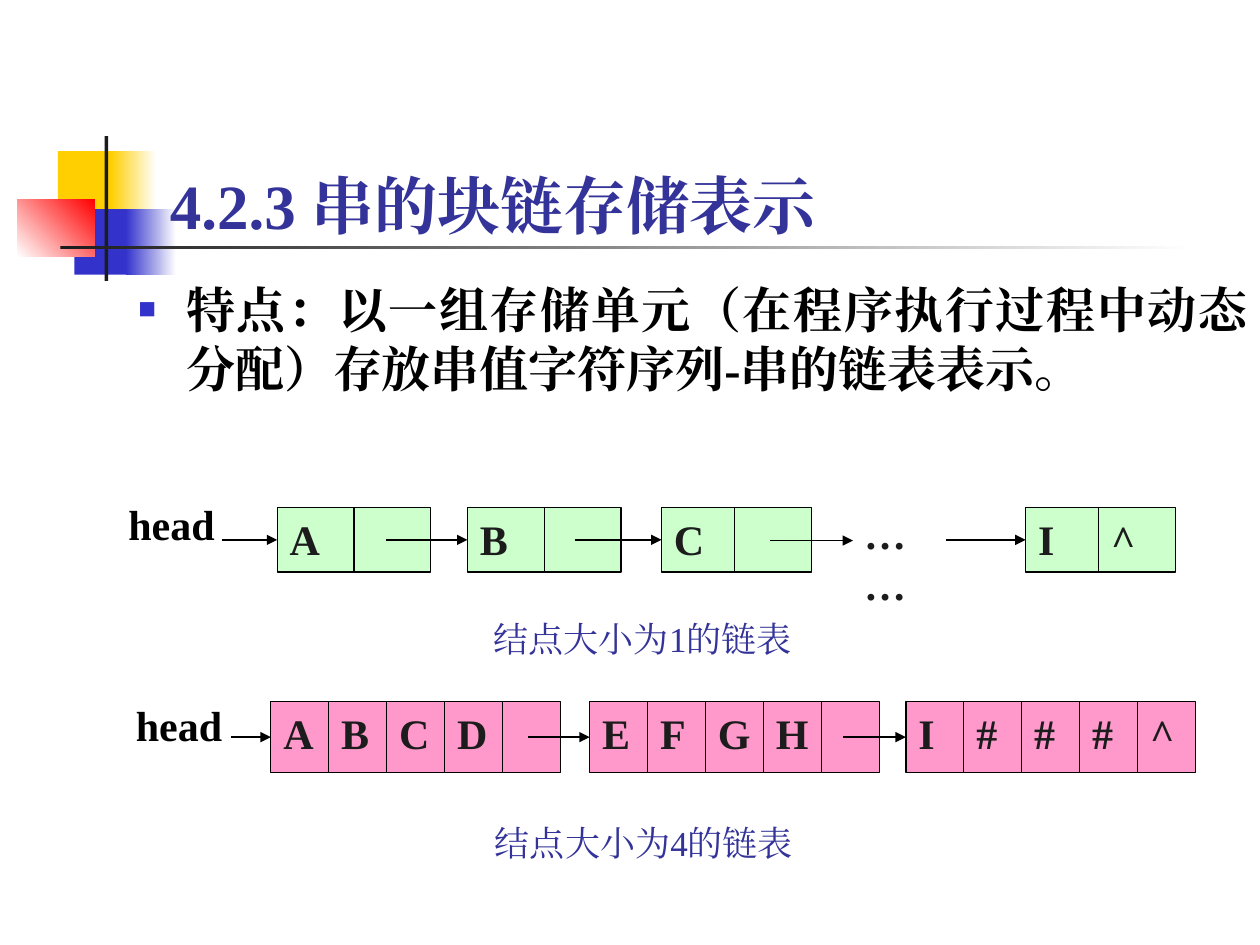
from dataclasses import dataclass

import pptx
import pptx.dml.color
import pptx.enum.shapes
import pptx.enum.text
import pptx.oxml
import pptx.oxml.ns
import pptx.util
from pptx.util import Inches

ALIGN = pptx.enum.text.PP_ALIGN
ANCHOR = pptx.enum.text.MSO_ANCHOR


@dataclass(frozen=True)
class Theme:
    font: str = "Times New Roman"
    yellow: str = "FFCF01"
    blue: str = "3333CC"
    red: str = "FF0000"
    white: str = "FFFFFF"
    dark: str = "1C1C1C"
    black: str = "000000"
    heading: str = "333399"
    single_cell: str = "CCFFCC"
    block_cell: str = "FF99CC"
    title_size: int = 36
    body_size: int = 28
    node_size: int = 24
    caption_size: int = 20
    line_width: float = 0.75


THEME = Theme()


def rgb(value):
    return pptx.dml.color.RGBColor.from_string(value)


def sub_element(parent, tag, **attributes):
    element = parent.makeelement(pptx.oxml.ns.qn(tag), attributes)
    parent.append(element)
    return element


def set_text(shape, text, size, color, bold=True, align=ALIGN.JUSTIFY, anchor=ANCHOR.TOP):
    frame = shape.text_frame
    frame.word_wrap = True
    frame.vertical_anchor = anchor
    frame.text = text
    paragraph = frame.paragraphs[0]
    paragraph.alignment = align
    for run in paragraph.runs:
        run.font.size = pptx.util.Pt(size)
        run.font.bold = bold
        run.font.name = THEME.font
        run.font.color.rgb = rgb(color)
        sub_element(run.font._element, "a:ea", typeface=THEME.font)
    return paragraph


def add_text(slide, box, text, size, color, **options):
    shape = slide.shapes.add_textbox(*map(Inches, box))
    return set_text(shape, text, size, color, **options)


def add_rectangle(slide, box, color, end_color=None, angle=0):
    shape = slide.shapes.add_shape(
        pptx.enum.shapes.MSO_SHAPE.RECTANGLE, *map(Inches, box))
    shape.shadow.inherit = False
    shape.line.fill.background()
    if end_color is None:
        shape.fill.solid()
        shape.fill.fore_color.rgb = rgb(color)
    else:
        shape.fill.gradient()
        shape.fill.gradient_angle = angle
        for stop, stop_color in zip(shape.fill.gradient_stops, (color, end_color)):
            stop.color.rgb = rgb(stop_color)
    return shape


def add_arrow(slide, start_x, end_x, y, target=None):
    arrow = slide.shapes.add_connector(
        pptx.enum.shapes.MSO_CONNECTOR.STRAIGHT,
        Inches(start_x), Inches(y), Inches(end_x), Inches(y))
    if target is not None:
        arrow.end_connect(target, 1)
    arrow.line.width = pptx.util.Pt(THEME.line_width)
    arrow.line.color.rgb = rgb(THEME.black)
    sub_element(arrow.line._get_or_add_ln(), "a:tailEnd", type="triangle")
    sub_element(arrow._element.spPr, "a:effectLst")


def add_ornament(slide, left, top):
    """Overlapping colour blocks with the cross lines of the heading."""
    parts = (
        (0.32, 0.12, 0.48, 0.52, THEME.yellow),
        (0.74, 0.12, 0.36, 0.52, THEME.yellow, THEME.white),
        (0.45, 0.58, 0.46, 0.52, THEME.blue),
        (0.86, 0.58, 0.40, 0.52, THEME.blue, THEME.white),
        (0, 0.5, 0.61, 0.46, THEME.white, THEME.red, 45),
        (0.69, 0, 0.03, 1.15, THEME.dark),
        (0.34, 0.87, 9, 0.03, THEME.dark, THEME.white),
    )
    for x, y, width, height, *fill in parts:
        add_rectangle(slide, (left + x, top + y, width, height), *fill)


def add_body(slide, box, text):
    """Justified bullet paragraph."""
    paragraph = add_text(slide, box, text, THEME.body_size, THEME.black)
    properties = paragraph._p.get_or_add_pPr()
    properties.set("marL", str(Inches(0.38)))
    properties.set("indent", str(Inches(-0.38)))
    bullet_color = sub_element(properties, "a:buClr")
    sub_element(bullet_color, "a:srgbClr", val=THEME.blue)
    sub_element(properties, "a:buSzPct", val="60000")
    sub_element(properties, "a:buFont", typeface=THEME.font)
    sub_element(properties, "a:buChar", char="■")


def add_node(slide, box, pitch, values, color):
    """Row of cells; an empty value leaves room for the pointer."""
    left, top, width, height = box
    cells = []
    for index, value in enumerate(values):
        cell = add_rectangle(slide, (left + index * pitch, top, width, height), color)
        cell.line.color.rgb = rgb(THEME.black)
        cell.line.width = pptx.util.Pt(THEME.line_width)
        if value:
            set_text(cell, value, THEME.node_size, THEME.dark)
        cells.append(cell)
    return cells[0]


def add_linked_list(slide, top, cell_size, color, nodes, head_box):
    """Nodes are (left, pitch, values, start of the incoming arrow)."""
    width, height = cell_size
    middle = top + height / 2
    for left, pitch, values, arrow_start in nodes:
        first_cell = add_node(slide, (left, top, width, height), pitch, values, color)
        add_arrow(slide, arrow_start, left, middle, first_cell)
    add_text(slide, head_box, "head", THEME.node_size, THEME.black)


def add_caption(slide, box, text):
    add_text(slide, box, text, THEME.caption_size, THEME.heading,
             bold=False, align=ALIGN.LEFT)


def main():
    presentation = pptx.Presentation()
    presentation.slide_width = Inches(10)
    presentation.slide_height = Inches(7.5)
    slide = presentation.slides.add_slide(presentation.slide_layouts[6])

    # Heading and description
    add_ornament(slide, 0.14, 1.08)
    add_text(slide, (1.25, 1.2, 8.5, 0.77), "4.2.3 串的块链存储表示",
             THEME.title_size, THEME.heading, align=ALIGN.LEFT, anchor=ANCHOR.BOTTOM)
    add_body(slide, (1, 2.17, 9, 2.25),
             "特点：以一组存储单元（在程序执行过程中动态分配）存放串值字符序列-串的链表表示。")

    # List with one character per node
    single_nodes = (
        (2.2, 0.61, ("A", ""), 1.76),
        (3.71, 0.61, ("B", ""), 3.06),
        (5.25, 0.58, ("C", ""), 4.56),
        (8.14, 0.58, ("I", "^"), 7.51),
    )
    add_linked_list(slide, 4.03, (0.61, 0.51), THEME.single_cell, single_nodes,
                    (0.92, 3.91, 1.01, 0.52))
    add_arrow(slide, 6.11, 6.77, 4.29)
    add_text(slide, (6.76, 3.98, 0.74, 0.52), "……", THEME.node_size, THEME.dark)
    add_caption(slide, (3.82, 4.85, 2.67, 0.77), "结点大小为1的链表")

    # List with four characters per node
    block_nodes = (
        (2.15, 0.46, ("A", "B", "C", "D", ""), 1.83),
        (4.68, 0.46, ("E", "F", "G", "H", ""), 4.19),
        (7.19, 0.46, ("I", "#", "#", "#", "^"), 6.69),
    )
    add_linked_list(slide, 5.57, (0.46, 0.56), THEME.block_cell, block_nodes,
                    (0.98, 5.5, 1.17, 0.58))
    add_caption(slide, (3.83, 6.47, 2.67, 0.77), "结点大小为4的链表")

    presentation.save("out.pptx")


if __name__ == "__main__":
    main()
